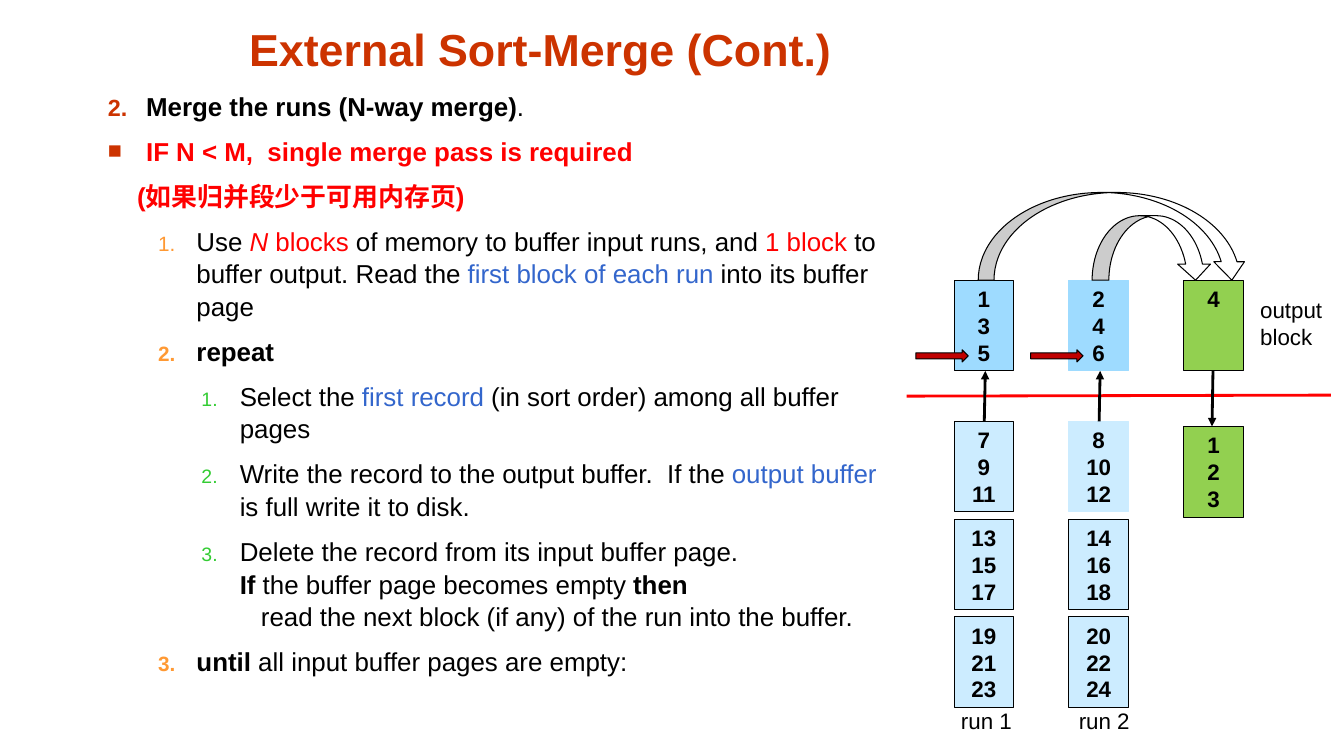
import pptx
import pptx.util
import pptx.dml.color
import pptx.enum.shapes
import pptx.enum.text
import pptx.oxml
import pptx.oxml.ns
from dataclasses import dataclass

Inches, Pt = pptx.util.Inches, pptx.util.Pt
SHAPE = pptx.enum.shapes.MSO_SHAPE
ALIGN = pptx.enum.text.PP_ALIGN
ANCHOR = pptx.enum.text.MSO_ANCHOR


@dataclass(frozen=True)
class Theme:
    font: str = "Arial"
    title_size: float = 32
    body_size: float = 18.5
    diagram_size: float = 16
    title: str = "CC3300"
    text: str = "000000"
    alert: str = "FF0000"
    term: str = "3366CC"
    step: str = "FF9933"
    substep: str = "33CC33"
    buffer: str = "9EDBFF"
    run: str = "CCECFF"
    output: str = "92D050"
    pointer: str = "C00000"
    arc: str = "FFFFFF"


THEME = Theme()

# Content: runs are (text, style, colour); "\n" is a line break
TITLE = "External Sort-Merge (Cont.)"
T, RED, BLUE = THEME.text, THEME.alert, THEME.term
STEPS = [
    ("phase", [("Merge the runs (N-way merge)", "b", T), (".", "", T)]),
    ("case", [("IF N < M,  single merge pass is required", "b", RED)]),
    ("gloss", [("(如果归并段少于可用内存页)", "b", RED)]),
    ("step", [("Use ", "", T), ("N", "i", RED), (" blocks ", "", RED),
              ("of memory to buffer input runs, and ", "", T), ("1 block ", "", RED),
              ("to buffer output. Read the ", "", T),
              ("first block of each run ", "", BLUE), ("into its buffer page", "", T)]),
    ("step", [("repeat", "b", T)]),
    ("substep", [("Select the ", "", T), ("first record ", "", BLUE),
                 ("(in sort order) among all buffer pages", "", T)]),
    ("substep", [("Write the record to the output buffer.  If the ", "", T),
                 ("output buffer ", "", BLUE), ("is full write it to disk.", "", T)]),
    ("substep", [("Delete the record from its input buffer page.", "", T), ("\n", "", T),
                 ("If", "b", T), (" the buffer page becomes empty ", "", T),
                 ("then", "b", T)]),
    ("action", [("read the next block (if any) of the run into the buffer.", "", T)]),
    ("step", [("until", "b", T), (" all input buffer pages are empty:", "", T)]),
]
# kind: level, left margin, first-line indent, space before, bullet (element, colour, size %)
NUMBER = '<a:buAutoNum {ns} type="arabicPeriod"/>'
KINDS = {
    "phase": (0, 0.38, -0.38, 0,
              ('<a:buAutoNum {ns} type="arabicPeriod" startAt="2"/>', THEME.title, 90)),
    "case": (0, 0.38, -0.38, 8.8, ('<a:buChar {ns} char="■"/>', THEME.title, 90)),
    "gloss": (0, 0.29, 0, 8.8, None),
    "step": (1, 0.88, -0.38, 8.8, (NUMBER, THEME.step, 80)),
    "substep": (2, 1.31, -0.38, 8.8, (NUMBER, THEME.substep, 75)),
    "action": (2, 1.52, 0, 0, None),
}

# Each run: block in memory first, then its blocks on disk
RUNS = [
    ("run 1", [(1, 3, 5), (7, 9, 11), (13, 15, 17), (19, 21, 23)]),
    ("run 2", [(2, 4, 6), (8, 10, 12), (14, 16, 18), (20, 22, 24)]),
]
UNOUTLINED = {(1, 0), (1, 1)}
OUTPUT_BUFFER, OUTPUT_DISK = (4,), (1, 2, 3)
OUTPUT_LABEL = ("output", "block")
# Arcs: left, top, width, height, shaft, head width, head height
ARCS = [(9.71, 1.91, 2.67, 0.87, 0.18, 0.35, 0.21),
        (10.84, 2.14, 1.19, 0.64, 0.26, 0.51, 0.25)]

# Diagram grid
COLUMN_X, COLUMN_STEP = 9.47, 1.14
BLOCK_W, BLOCK_H = 0.59, 0.9
MEMORY_Y, DISK_Y, DISK_STEP, OUTPUT_DISK_Y = 2.78, 4.18, 0.97, 4.23

deck = pptx.Presentation()
deck.slide_width, deck.slide_height = Inches(13.34), Inches(7.5)
slide = deck.slides.add_slide(deck.slide_layouts[1])


def rgb(colour):
    return pptx.dml.color.RGBColor.from_string(colour)


def xml(markup):
    return pptx.oxml.parse_xml(markup.replace("{ns}", pptx.oxml.ns.nsdecls("a")))


def place(box, left, top, width, height):
    box.left, box.top = Inches(left), Inches(top)
    box.width, box.height = Inches(width), Inches(height)


def add_run(paragraph, text, size, colour, style=""):
    run = paragraph.add_run()
    run.text = text
    run.font.name, run.font.size = THEME.font, Pt(size)
    run.font.bold, run.font.italic = "b" in style, "i" in style
    run.font.color.rgb = rgb(colour)


def write_lines(frame, lines, align, style=""):
    for i, line in enumerate(lines):
        paragraph = frame.add_paragraph() if i else frame.paragraphs[0]
        paragraph.alignment = align
        add_run(paragraph, str(line), THEME.diagram_size, THEME.text, style)


def add_figure(kind, box, fill, outline=THEME.text):
    figure = slide.shapes.add_shape(kind, *map(Inches, box))
    figure.shadow.inherit = False
    figure.fill.solid()
    figure.fill.fore_color.rgb = rgb(fill)
    figure.line.color.rgb = rgb(outline)
    figure.line.width = Pt(0.75)
    return figure


def add_block(records, left, top, fill, outline=THEME.text):
    block = add_figure(SHAPE.RECTANGLE, (left, top, BLOCK_W, BLOCK_H), fill, outline)
    block.text_frame.vertical_anchor = ANCHOR.TOP
    write_lines(block.text_frame, records, ALIGN.CENTER, "b")


def add_label(lines, left, top, width, height):
    label = slide.shapes.add_textbox(*map(Inches, (left, top, width, height)))
    label.text_frame.word_wrap = True
    write_lines(label.text_frame, lines, ALIGN.LEFT)


def add_line(start, end, colour, arrow=False):
    line = slide.shapes.add_connector(pptx.enum.shapes.MSO_CONNECTOR.STRAIGHT,
                                      *map(Inches, (*start, *end)))
    line.line.color.rgb = rgb(colour)
    line.line.width = Pt(2)
    if arrow:
        line.line._get_or_add_ln().append(xml('<a:tailEnd {ns} type="triangle"/>'))
    line._element.spPr.append(xml("<a:effectLst {ns}/>"))


# Title
title = slide.shapes.title
place(title, 1.12, 0.13, 8.49, 0.67)
title.text_frame.vertical_anchor = ANCHOR.BOTTOM
title.text_frame.auto_size = pptx.enum.text.MSO_AUTO_SIZE.NONE
title.text_frame.paragraphs[0].alignment = ALIGN.CENTER
add_run(title.text_frame.paragraphs[0], TITLE, THEME.title_size, THEME.title, "b")

# Algorithm steps
steps = slide.placeholders[1]
place(steps, 0.97, 0.83, 7.99, 6.13)
steps.text_frame.auto_size = pptx.enum.text.MSO_AUTO_SIZE.NONE
for i, (kind, runs) in enumerate(STEPS):
    level, margin, indent, before, bullet = KINDS[kind]
    step = steps.text_frame.add_paragraph() if i else steps.text_frame.paragraphs[0]
    step.level, step.line_spacing, step.space_before = level, 1.05, Pt(before)
    props = step._p.get_or_add_pPr()
    props.set("marL", str(Inches(margin)))
    props.set("indent", str(Inches(indent)))
    if bullet:
        mark, colour, percent = bullet
        props.append(xml(f'<a:buClr {{ns}}><a:srgbClr val="{colour}"/></a:buClr>'))
        props.append(xml(f'<a:buSzPct {{ns}} val="{percent * 1000}"/>'))
        props.append(xml(f'<a:buFont {{ns}} typeface="{THEME.font}"/>'))
        props.append(xml(mark))
    else:
        props.append(xml("<a:buNone {ns}/>"))
    for text, style, colour in runs:
        if text == "\n":
            step.add_line_break()
        else:
            add_run(step, text, THEME.body_size, colour, style)

# Boundary between memory and disk
add_line((9, 3.93), (13.21, 3.92), THEME.alert)

# Input runs
for column, (name, blocks) in enumerate(RUNS):
    left = COLUMN_X + column * COLUMN_STEP
    for row, records in enumerate(blocks):
        top = DISK_Y + (row - 1) * DISK_STEP if row else MEMORY_Y
        fill = THEME.run if row else THEME.buffer
        add_block(records, left, top, fill,
                  fill if (column, row) in UNOUTLINED else THEME.text)
    add_line((left + 0.3, DISK_Y), (left + 0.31, MEMORY_Y + BLOCK_H), THEME.text, True)
    add_figure(SHAPE.RIGHT_ARROW, (left - 0.38, 3.47, 0.52, 0.12), THEME.pointer)
    add_label([name], left - 0.03 + 0.03 * column, 6.97, 0.84, 0.37)

# Output block
output_x = COLUMN_X + 2 * COLUMN_STEP
add_block(OUTPUT_BUFFER, output_x, MEMORY_Y, THEME.output)
add_block(OUTPUT_DISK, output_x, OUTPUT_DISK_Y, THEME.output)
add_line((output_x + 0.29, MEMORY_Y + BLOCK_H), (output_x + 0.28, OUTPUT_DISK_Y),
         THEME.text, True)
add_label(OUTPUT_LABEL, 12.41, 2.89, 0.93, 0.64)

# Arcs from the input buffers to the output buffer
for *box, shaft, head_width, head_height in ARCS:
    arc = add_figure(SHAPE.CURVED_DOWN_ARROW, box, THEME.arc)
    for i, value in enumerate((shaft, head_width, head_height)):
        arc.adjustments[i] = value

deck.save("out.pptx")
